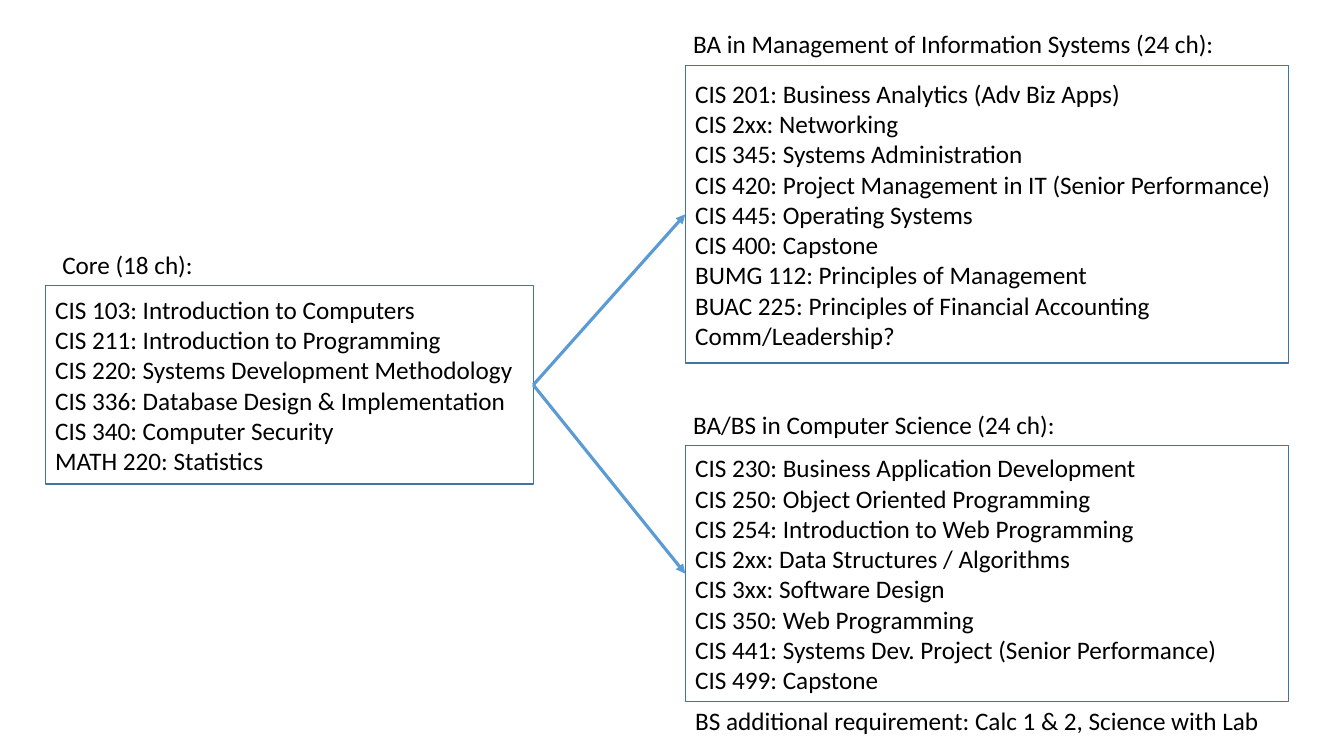
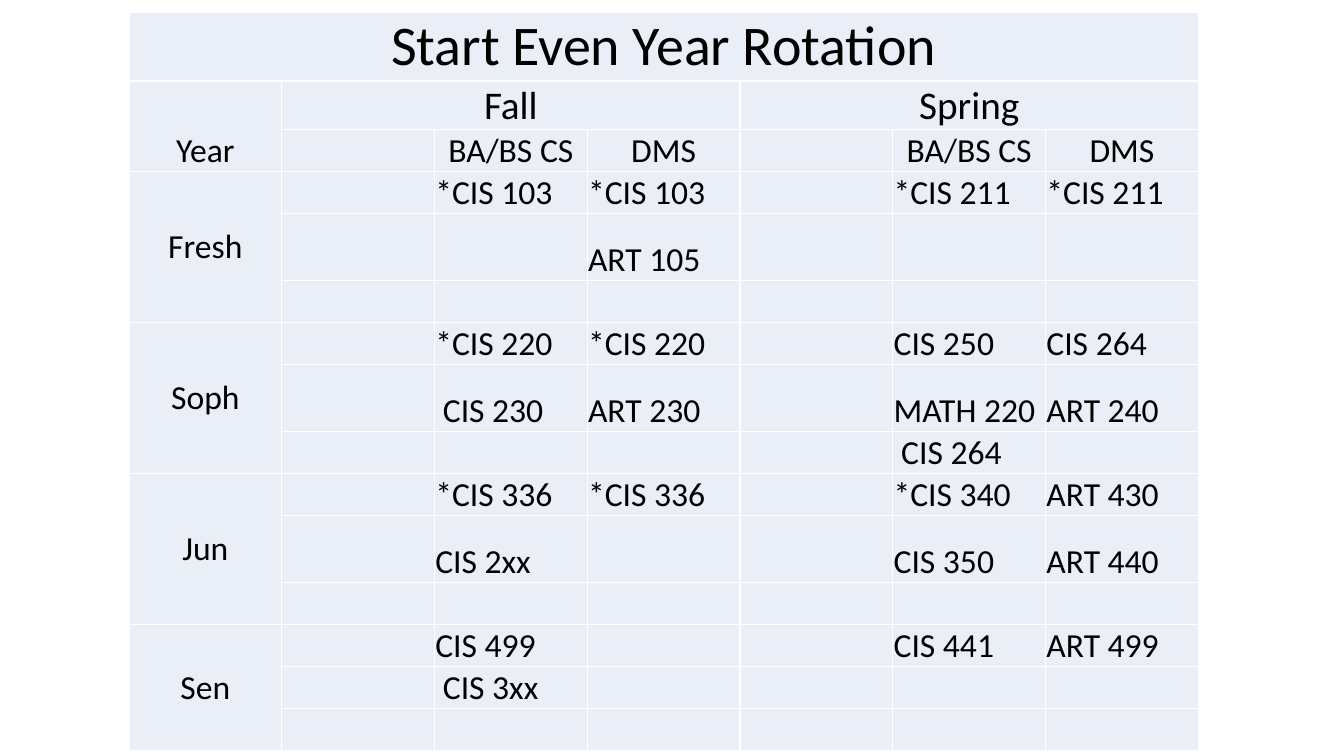
from dataclasses import dataclass

from lxml.etree import SubElement
from pptx import Presentation
from pptx.dml.color import RGBColor
from pptx.enum.shapes import MSO_CONNECTOR as Link, MSO_SHAPE as Preset
from pptx.enum.text import MSO_ANCHOR as Anchor, MSO_AUTO_SIZE as AutoSize, PP_ALIGN as Align
from pptx.oxml.ns import qn
from pptx.util import Cm, Pt


@dataclass(frozen=True)
class Theme:
    font: str = "Calibri"
    ink: str = "000000"
    outline: str = "43739E"
    arrow: str = "5B9BD5"
    cell: str = "EAEFF7"
    grid: str = "FFFFFF"
    body: int = 18
    course: int = 24
    season: int = 28
    title: int = 40


THEME = Theme()

CORE = [
    "CIS 103: Introduction to Computers",
    "CIS 211: Introduction to Programming",
    "CIS 220: Systems Development Methodology",
    "CIS 336: Database Design & Implementation",
    "CIS 340: Computer Security",
    "MATH 220: Statistics",
]
INFORMATION_SYSTEMS = [
    "CIS 201: Business Analytics (Adv Biz Apps)",
    "CIS 2xx: Networking",
    "CIS 345: Systems Administration",
    "CIS 420: Project Management in IT (Senior Performance)",
    "CIS 445: Operating Systems",
    "CIS 400: Capstone",
    "BUMG 112: Principles of Management",
    "BUAC 225: Principles of Financial Accounting",
    "Comm/Leadership?",
]
COMPUTER_SCIENCE = [
    "CIS 230: Business Application Development",
    "CIS 250: Object Oriented Programming",
    "CIS 254: Introduction to Web Programming",
    "CIS 2xx: Data Structures / Algorithms",
    "CIS 3xx: Software Design",
    "CIS 350: Web Programming",
    "CIS 441: Systems Dev. Project (Senior Performance)",
    "CIS 499: Capstone",
]

SEASONS = {"Fall": 1, "Spring": 4}
COURSE_COLUMNS = [2, 3, 5, 6]
TRACKS = ["BA/BS CS", "DMS", "BA/BS CS", "DMS"]
FIRST_YEAR_ROW = 3
TERMS_PER_YEAR = 3
ROTATION = {
    "Fresh": [
        ["*CIS 103", "*CIS 103", "*CIS 211", "*CIS 211"],
        ["", "ART 105", "", ""],
    ],
    "Soph": [
        ["*CIS 220", "*CIS 220", "CIS 250", "CIS 264"],
        ["CIS 230", "ART 230", "MATH 220", "ART 240"],
        ["", "", "CIS 264", ""],
    ],
    "Jun": [
        ["*CIS 336", "*CIS 336", "*CIS 340", "ART 430"],
        ["CIS 2xx", "", "CIS 350", "ART 440"],
    ],
    "Sen": [
        ["CIS 499", "", "CIS 441", "ART 499"],
        ["CIS 3xx", "", "", ""],
    ],
}
INDENTED = {(7, 2), (8, 5), (13, 2)}
TALL, SHORT = 1.68, 1.06
ROW_HEIGHTS = [1.73, 1.22, SHORT] + [SHORT, TALL, SHORT] * 3 + [SHORT] * 3


class Deck:
    def __init__(self, theme):
        self.theme = theme
        self.show = Presentation()
        self.show.slide_width = Cm(33.87)
        self.show.slide_height = Cm(19.05)
        self.slide = None

    def new_slide(self):
        self.slide = self.show.slides.add_slide(self.show.slide_layouts[6])

    def style(self, frame, size, align=Align.LEFT):
        for paragraph in frame.paragraphs:
            paragraph.alignment = align
            for run in paragraph.runs:
                run.font.name = self.theme.font
                run.font.size = Pt(size)
                run.font.bold = False
                run.font.color.rgb = RGBColor.from_string(self.theme.ink)

    def course_box(self, courses, left, top, width, height):
        box = self.slide.shapes.add_shape(
            Preset.RECTANGLE, Cm(left), Cm(top), Cm(width), Cm(height))
        box.shadow.inherit = False
        box.fill.background()
        box.line.color.rgb = RGBColor.from_string(self.theme.outline)
        box.line.width = Pt(1)
        frame = box.text_frame
        frame.text = "\n".join(courses)
        frame.word_wrap = True
        frame.vertical_anchor = Anchor.MIDDLE
        self.style(frame, self.theme.body)
        return box

    def label(self, wording, left, top, width):
        frame = self.slide.shapes.add_textbox(
            Cm(left), Cm(top), Cm(width), Cm(1.03)).text_frame
        frame.text = wording
        frame.word_wrap = False
        frame.auto_size = AutoSize.SHAPE_TO_FIT_TEXT
        self.style(frame, self.theme.body)

    def arrow(self, source, target):
        link = self.slide.shapes.add_connector(Link.STRAIGHT, 0, 0, 0, 0)
        link.begin_connect(source, 3)
        link.end_connect(target, 1)
        link.line.color.rgb = RGBColor.from_string(self.theme.arrow)
        link.line.width = Pt(2.25)
        SubElement(link.line._get_or_add_ln(), qn("a:tailEnd"), type="triangle")
        SubElement(link._element.spPr, qn("a:effectLst"))

    def table(self, left, top, column_width, columns, heights):
        table = self.slide.shapes.add_table(
            len(heights), columns, Cm(left), Cm(top),
            Cm(column_width * columns), Cm(sum(heights))).table
        table.first_row = False
        table.horz_banding = False
        for column in table.columns:
            column.width = Cm(column_width)
        for row, height in zip(table.rows, heights):
            row.height = Cm(height)
        for cell in table.iter_cells():
            self.cell_frame(cell)
        return table

    def cell_frame(self, cell):
        cell.margin_left = cell.margin_right = cell.margin_top = Cm(0.02)
        cell.margin_bottom = 0
        properties = cell._tc.get_or_add_tcPr()
        for side in ("a:lnL", "a:lnR", "a:lnT", "a:lnB"):
            border = SubElement(properties, qn(side), w=str(Pt(1)))
            paint = SubElement(border, qn("a:solidFill"))
            SubElement(paint, qn("a:srgbClr"), val=self.theme.grid)
        cell.fill.solid()
        cell.fill.fore_color.rgb = RGBColor.from_string(self.theme.cell)

    def entry(self, cell, wording, size, align=Align.CENTER, anchor=Anchor.BOTTOM):
        cell.text_frame.text = wording
        cell.vertical_anchor = anchor
        self.style(cell.text_frame, size, align)


def add_programs(deck):
    deck.new_slide()
    core = deck.course_box(CORE, 1.14, 7.2, 12.3, 5)
    systems = deck.course_box(INFORMATION_SYSTEMS, 17.27, 1.65, 15.2, 7.5)
    science = deck.course_box(COMPUTER_SCIENCE, 17.27, 11.23, 15.2, 6.45)
    for program in (systems, science):
        deck.arrow(core, program)
    deck.label("Core (18 ch):", 1.32, 6.15, 3.86)
    deck.label("BA in Management of Information Systems (24 ch):", 17.22, 0.6, 13.8)
    deck.label("BA/BS in Computer Science (24 ch):", 17.22, 10.2, 9.75)
    deck.label("BS additional requirement: Calc 1 & 2, Science with Lab", 17.27, 17.65, 14.9)


def add_rotation(deck):
    deck.new_slide()
    theme = deck.theme
    table = deck.table(3.25, 0.3, 3.85, 7, ROW_HEIGHTS)

    table.cell(0, 0).merge(table.cell(0, 6))
    deck.entry(table.cell(0, 0), "Start Even Year Rotation", theme.title)
    table.cell(1, 0).merge(table.cell(2, 0))
    deck.entry(table.cell(1, 0), "Year", theme.course)
    for season, column in SEASONS.items():
        table.cell(1, column).merge(table.cell(1, column + 2))
        deck.entry(table.cell(1, column), season, theme.season)
    for column, track in zip(COURSE_COLUMNS, TRACKS):
        deck.entry(table.cell(2, column), track, theme.course)

    for index, (year, terms) in enumerate(ROTATION.items()):
        first = FIRST_YEAR_ROW + index * TERMS_PER_YEAR
        table.cell(first, 0).merge(table.cell(first + TERMS_PER_YEAR - 1, 0))
        deck.entry(table.cell(first, 0), year, theme.course, anchor=Anchor.MIDDLE)
        for row, courses in enumerate(terms, first):
            for column, course in zip(COURSE_COLUMNS, courses):
                if course:
                    deck.entry(table.cell(row, column), course, theme.course, Align.LEFT)
    for row, column in INDENTED:
        table.cell(row, column).margin_left = Cm(0.21)


def main():
    deck = Deck(THEME)
    add_programs(deck)
    add_rotation(deck)
    deck.show.save("out.pptx")


if __name__ == "__main__":
    main()
